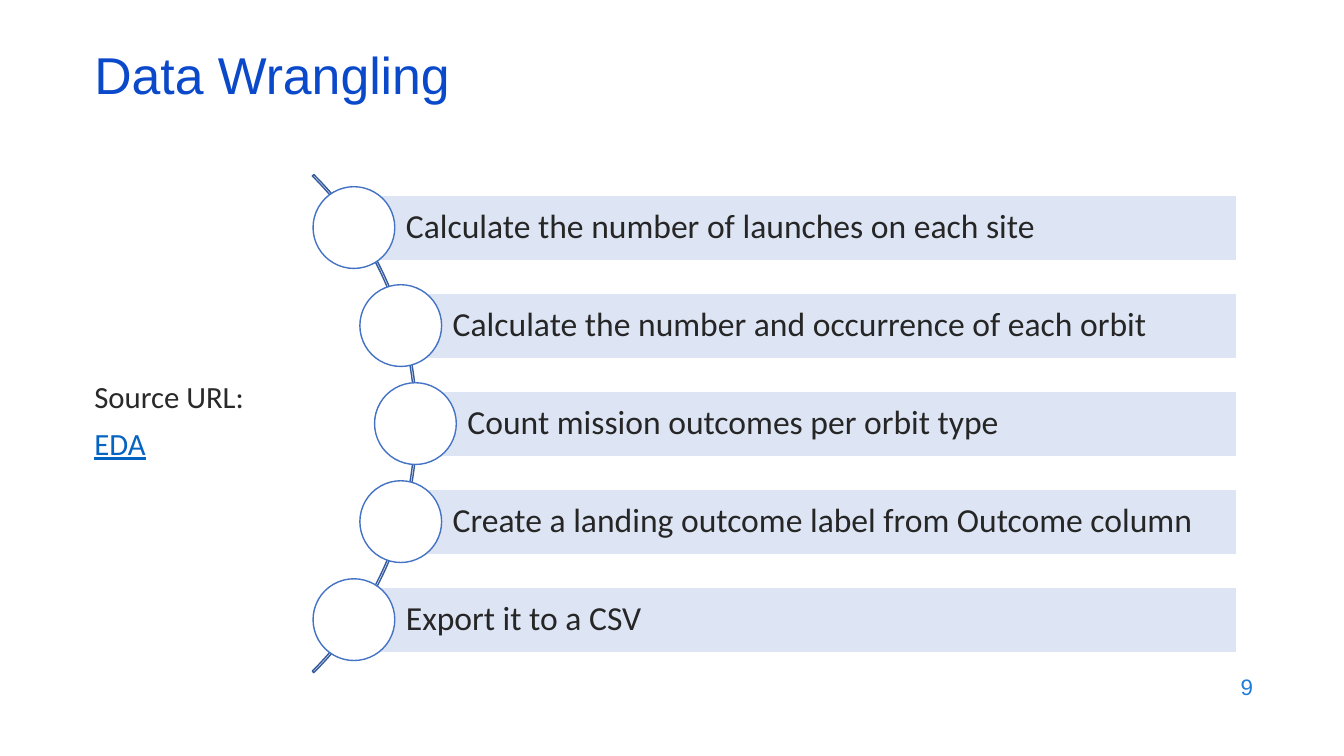
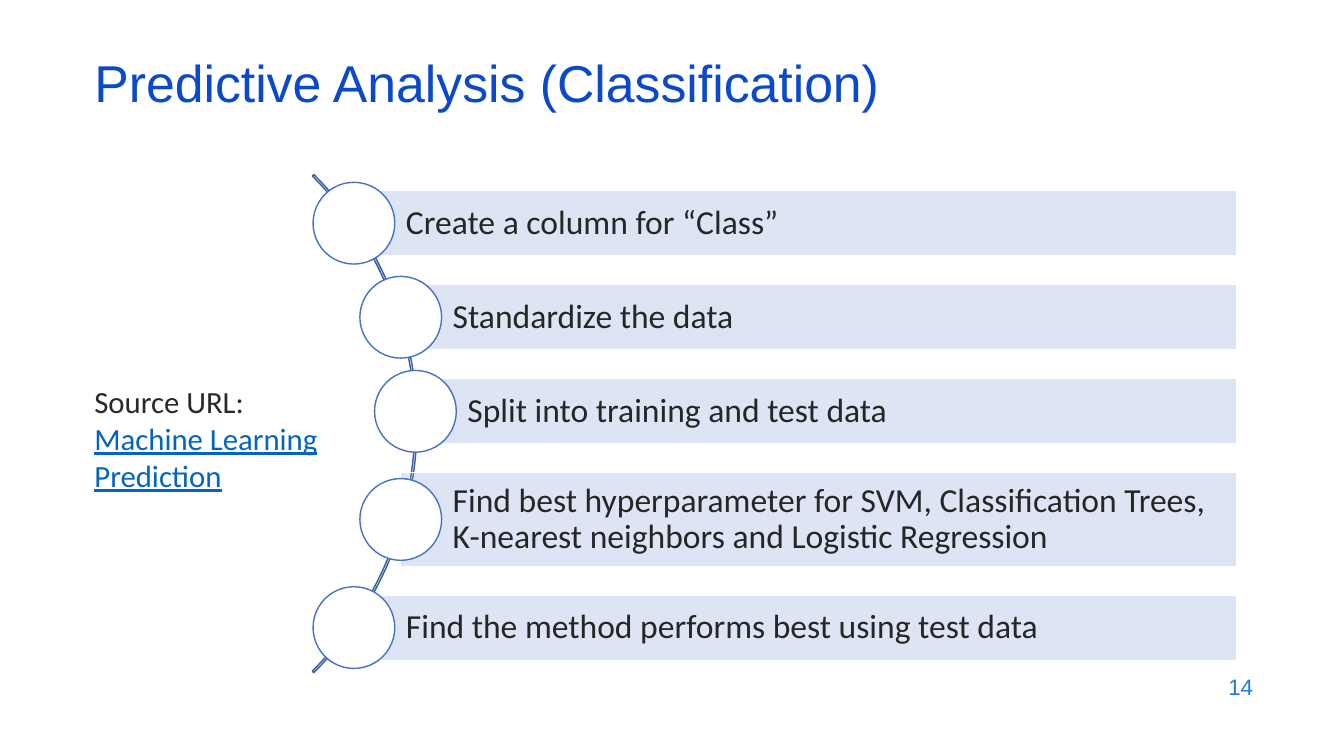
from lxml import etree
from pptx import Presentation
from pptx import util as u
from pptx.dml.color import RGBColor
from pptx.enum import shapes, text
from pptx.oxml import ns

TITLE_BLUE = RGBColor(0x0B, 0x49, 0xCB)
NUMBER_BLUE = RGBColor(0x1C, 0x7D, 0xDB)
LINK_BLUE = RGBColor(0x05, 0x63, 0xC1)
ARC_BLUE = RGBColor(0x36, 0x5B, 0x9D)
CIRCLE_BLUE = RGBColor(0x44, 0x72, 0xC4)
BAR_BLUE = RGBColor(0x8F, 0xAA, 0xDC)
NOTE_INK = RGBColor(0x29, 0x29, 0x29)
BAR_INK = RGBColor(0x26, 0x26, 0x26)
WHITE = RGBColor(0xFF, 0xFF, 0xFF)

LEFT_MARGIN = 2.13
BAR_RIGHT = 31.17
BAR_HEIGHT = 1.65
CIRCLE_SIZE = 2.06
CIRCLE_CENTRES = (8.92, 10.1, 10.47, 10.1, 8.92)


class Deck:
    heading_font = "Arial"
    body_font = "Calibri"

    def __init__(self):
        self.presentation = Presentation()
        self.presentation.slide_width = u.Cm(33.87)
        self.presentation.slide_height = u.Cm(19.05)
        self.slide = None

    def add_slide(self, title, title_top, number):
        self.slide = self.presentation.slides.add_slide(self.presentation.slide_layouts[6])
        frame = self.text_box(LEFT_MARGIN, title_top, 29.21, 1.52, text.MSO_ANCHOR.MIDDLE)
        paragraph = frame.paragraphs[0]
        paragraph.line_spacing = 0.7
        self.run(paragraph, title, 37, TITLE_BLUE, self.heading_font)
        frame = self.text_box(24.21, 16.74, 7.62, 1.12, text.MSO_ANCHOR.MIDDLE)
        paragraph = frame.paragraphs[0]
        paragraph.alignment = text.PP_ALIGN.RIGHT
        self.run(paragraph, str(number), 16, NUMBER_BLUE, self.heading_font)

    def run(self, paragraph, words, size, color, font_name, underline=None):
        run = paragraph.add_run()
        run.text = words
        run.font.size = u.Pt(size)
        run.font.name = font_name
        run.font.color.rgb = color
        run.font.underline = underline

    def text_box(self, left, top, width, height, anchor=text.MSO_ANCHOR.TOP):
        box = self.slide.shapes.add_textbox(u.Cm(left), u.Cm(top), u.Cm(width), u.Cm(height))
        frame = box.text_frame
        frame.word_wrap = True
        frame.vertical_anchor = anchor
        return frame

    def shape(self, kind, left, top, width, height, fill, line):
        shape = self.slide.shapes.add_shape(
            kind, u.Cm(left), u.Cm(top), u.Cm(width), u.Cm(height))
        shape.shadow.inherit = False
        if fill is None:
            shape.fill.background()
        else:
            shape.fill.solid()
            shape.fill.fore_color.rgb = fill
        shape.line.color.rgb = line
        shape.line.width = u.Pt(1)
        return shape

    def source_note(self, link, top, width, height, label_spacing, link_spacing, space_before):
        frame = self.text_box(LEFT_MARGIN, top, width, height)
        label = frame.paragraphs[0]
        label.line_spacing = label_spacing
        self.run(label, "Source URL:", 22, NOTE_INK, self.body_font)
        paragraph = frame.add_paragraph()
        paragraph.line_spacing = link_spacing
        paragraph.space_before = u.Pt(space_before)
        self.run(paragraph, link, 22, LINK_BLUE, self.body_font, True)

    def arc(self):
        arc = self.shape(shapes.MSO_SHAPE.BLOCK_ARC, -7.24, 1.8, 17.75, 17.75, None, ARC_BLUE)
        for index, value in enumerate((189, 27, 0.003)):
            arc.adjustments[index] = value

    def bar(self, words, left, top, height):
        bar = self.shape(shapes.MSO_SHAPE.RECTANGLE, left, top, BAR_RIGHT - left, height,
                         BAR_BLUE, WHITE)
        color = bar.fill._xPr.find(ns.qn("a:solidFill"))[0]
        etree.SubElement(color, ns.qn("a:alpha"), val="30000")
        frame = bar.text_frame
        frame.word_wrap = True
        frame.vertical_anchor = text.MSO_ANCHOR.MIDDLE
        frame.margin_left = u.Cm(1.31)
        frame.margin_top = frame.margin_right = frame.margin_bottom = u.Cm(0.18)
        paragraph = frame.paragraphs[0]
        paragraph.alignment = text.PP_ALIGN.LEFT
        paragraph.line_spacing = 0.9
        self.run(paragraph, words, 24, BAR_INK, self.body_font)

    def circle(self, centre_x, centre_y):
        self.shape(shapes.MSO_SHAPE.OVAL, centre_x - CIRCLE_SIZE / 2, centre_y - CIRCLE_SIZE / 2,
                   CIRCLE_SIZE, CIRCLE_SIZE, WHITE, CIRCLE_BLUE)

    def steps(self, top, gap, items):
        self.arc()
        for centre_x, (words, height) in zip(CIRCLE_CENTRES, items):
            self.bar(words, centre_x, top, height)
            self.circle(centre_x, top + height / 2)
            top += height + gap


def main():
    deck = Deck()

    deck.add_slide("Data Wrangling", 1.3, 9)
    deck.source_note("EDA", 9.4, 7.09, 2.57, 1, 0.9, 10)
    deck.steps(4.91, 0.82, [
        ("Calculate the number of launches on each site", BAR_HEIGHT),
        ("Calculate the number and occurrence of each orbit", BAR_HEIGHT),
        ("Count mission outcomes per orbit type", BAR_HEIGHT),
        ("Create a landing outcome label from Outcome column", BAR_HEIGHT),
        ("Export it to a CSV", BAR_HEIGHT),
    ])

    deck.add_slide("Predictive Analysis (Classification)", 1.5, 14)
    deck.source_note("Machine Learning Prediction", 8.59, 6.6, 4.17, 2, 1, 0)
    deck.steps(4.8, 0.72, [
        ("Create a column for “Class”", BAR_HEIGHT),
        ("Standardize the data", BAR_HEIGHT),
        ("Split into training and test data", BAR_HEIGHT),
        ("Find best hyperparameter for SVM, Classification Trees, "
         "K-nearest neighbors and Logistic Regression", 2.36),
        ("Find the method performs best using test data", BAR_HEIGHT),
    ])

    deck.presentation.save("out.pptx")


if __name__ == "__main__":
    main()
